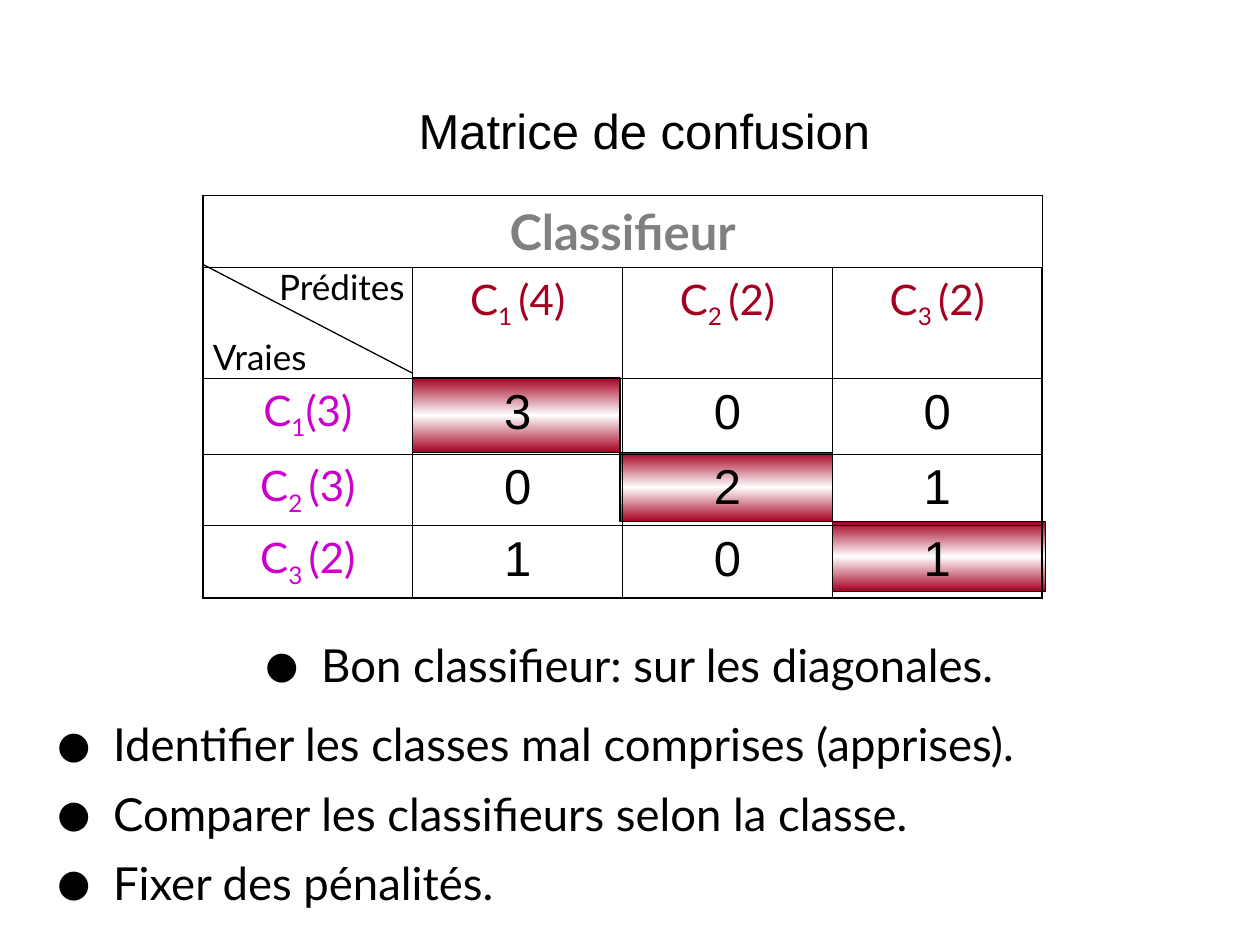
from copy import deepcopy

from lxml import etree
from pptx import Presentation
from pptx.dml.color import RGBColor
from pptx.enum.shapes import MSO_CONNECTOR, MSO_SHAPE
from pptx.enum.text import MSO_ANCHOR, MSO_AUTO_SIZE, PP_ALIGN
from pptx.oxml.ns import qn
from pptx.util import Cm, Pt

STRAIGHT = MSO_CONNECTOR.STRAIGHT
RECTANGLE = MSO_SHAPE.RECTANGLE
MIDDLE = MSO_ANCHOR.MIDDLE
NO_AUTOFIT = MSO_AUTO_SIZE.NONE
LEFT, CENTER = PP_ALIGN.LEFT, PP_ALIGN.CENTER

COLORS = {
    "text": "000000",
    "heading": "808080",
    "predicted": "A50021",
    "actual": "CC00CC",
    "highlight": "FFFFFF",
}
TITLE_FONT, BODY_FONT = "Arial", "Lato"
OUTER_BORDER, INNER_BORDER, LINE_WIDTH = 1.08, 0.45, 0.75
TITLE_ONLY_LAYOUT = 5

TABLE_LEFT, TABLE_TOP = 4.09, 3.94
COLUMN_WIDTH = 4.23
ROW_HEIGHTS = [1.45, 2.24, 1.52, 1.45, 1.45]
PREDICTED = [("C", "1 ", "(4)"), ("C", "2 ", "(2)"), ("C", "3 ", "(2)")]
ACTUAL = [("C", "1", "(3)"), ("C", "2 ", "(3)"), ("C", "3 ", "(2)")]
COUNTS = [[3, 0, 0], [0, 2, 1], [1, 0, 1]]
DIAGONAL_SIZES = [(4.19, 1.5), (4.29, 1.4), (4.29, 1.4)]
BULLETS = [
    (12.93, "Bon classifieur: sur les diagonales.", CENTER),
    (14.53, "Identifier les classes mal comprises (apprises).", LEFT),
    (15.93, "Comparer les classifieurs selon la classe.", LEFT),
    (17.32, "Fixer des pénalités.", LEFT),
]


def color(name):
    return RGBColor.from_string(COLORS[name])


class SlideBuilder:
    """Holds the slide and the style shared by its elements."""

    def __init__(self, slide):
        self.slide = slide

    def format_runs(self, paragraph, size, font=BODY_FONT, color_name="text", bold=False):
        for run in paragraph.runs:
            run.font.size = Pt(size)
            run.font.name = font
            run.font.bold = bold
            run.font.color.rgb = color(color_name)

    def title(self, text, left, top, width, height):
        shape = self.slide.shapes.title
        shape.left, shape.top = Cm(left), Cm(top)
        shape.width, shape.height = Cm(width), Cm(height)
        frame = shape.text_frame
        frame.text = text
        frame.auto_size = NO_AUTOFIT
        frame.vertical_anchor = MIDDLE
        paragraph = frame.paragraphs[0]
        paragraph.alignment = CENTER
        paragraph.line_spacing = 0.76
        self.format_runs(paragraph, 28, TITLE_FONT)

    def text(self, text, left, top, width, height, size, wrap=False):
        shape = self.slide.shapes.add_textbox(Cm(left), Cm(top), Cm(width), Cm(height))
        shape.text_frame.word_wrap = wrap
        shape.text_frame.text = text
        paragraph = shape.text_frame.paragraphs[0]
        self.format_runs(paragraph, size)
        return paragraph

    def bullet(self, text, top, alignment):
        paragraph = self.text(text, 0.89, top, 23.6, 1.19, 26, wrap=True)
        properties = paragraph._p.get_or_add_pPr()
        indent = Cm(1.14)
        properties.set("marL", str(indent))
        properties.set("indent", str(-indent))
        bullet_color = etree.SubElement(properties, qn("a:buClr"))
        etree.SubElement(bullet_color, qn("a:srgbClr"), val=COLORS["text"])
        etree.SubElement(properties, qn("a:buSzPct"), val="130000")
        etree.SubElement(properties, qn("a:buFont"), typeface=BODY_FONT)
        etree.SubElement(properties, qn("a:buChar"), char="●")
        paragraph.alignment = alignment
        paragraph.line_spacing = 0.8

    def gradient_box(self, left, top, width, height):
        shape = self.slide.shapes.add_shape(
            RECTANGLE, Cm(left), Cm(top), Cm(width), Cm(height))
        shape.shadow.inherit = False
        shape.line.color.rgb = color("text")
        shape.line.width = Pt(LINE_WIDTH)
        shape.fill.gradient()
        shape.fill.gradient_angle = 90
        first_stop = shape._element.spPr.find(".//" + qn("a:gs"))
        first_stop.addnext(deepcopy(first_stop))
        stops = zip(shape.fill.gradient_stops, (0, 0.5, 1),
                    ("predicted", "highlight", "predicted"))
        for stop, position, name in stops:
            stop.position = position
            stop.color.rgb = color(name)

    def line(self, start_x, start_y, end_x, end_y):
        connector = self.slide.shapes.add_connector(
            STRAIGHT, Cm(start_x), Cm(start_y), Cm(end_x), Cm(end_y))
        connector.line.color.rgb = color("text")
        connector.line.width = Pt(LINE_WIDTH)
        etree.SubElement(connector._element.spPr, qn("a:effectLst"))

    def table(self, left, top, column_widths, row_heights):
        rows, columns = len(row_heights), len(column_widths)
        table = self.slide.shapes.add_table(
            rows, columns, Cm(left), Cm(top),
            Cm(sum(column_widths)), Cm(sum(row_heights))).table
        table.first_row = table.horz_banding = False
        for column, width in zip(table.columns, column_widths):
            column.width = Cm(width)
        for row, height in zip(table.rows, row_heights):
            row.height = Cm(height)
        for r in range(rows):
            for c in range(columns):
                outer_sides = {"L": c == 0, "R": c == columns - 1,
                               "T": r == 0, "B": r == rows - 1}
                self.cell_borders(table.cell(r, c), outer_sides)
                table.cell(r, c).fill.background()
        return table

    def cell_borders(self, cell, outer_sides):
        properties = cell._tc.get_or_add_tcPr()
        for side, is_outer in outer_sides.items():
            width = Pt(OUTER_BORDER if is_outer else INNER_BORDER)
            border = etree.SubElement(properties, qn("a:ln" + side), w=str(width))
            fill = etree.SubElement(border, qn("a:solidFill"))
            etree.SubElement(fill, qn("a:srgbClr"), val=COLORS["text"])

    def cell_text(self, cell, text, size, **style):
        cell.text_frame.text = text
        paragraph = cell.text_frame.paragraphs[0]
        paragraph.alignment = CENTER
        self.format_runs(paragraph, size, **style)

    def class_label(self, cell, parts, color_name):
        """Write a class name with its index as a subscript."""
        paragraph = cell.text_frame.paragraphs[0]
        paragraph.alignment = CENTER
        for part in parts:
            paragraph.add_run().text = part
        self.format_runs(paragraph, 24, color_name=color_name)
        paragraph.runs[1].font._element.set("baseline", "-25000")


def main():
    presentation = Presentation()
    presentation.slide_width, presentation.slide_height = Cm(25.4), Cm(19.05)
    layout = presentation.slide_layouts[TITLE_ONLY_LAYOUT]
    builder = SlideBuilder(presentation.slides.add_slide(layout))
    builder.title("Matrice de confusion", 3.81, 0.94, 18.36, 3.61)

    box_left, box_top = 8.31, 7.62
    for width, height in DIAGONAL_SIZES:
        builder.gradient_box(box_left, box_top, width, height)
        box_left += width
        box_top += height

    matrix = builder.table(TABLE_LEFT, TABLE_TOP, [COLUMN_WIDTH] * 4, ROW_HEIGHTS)
    matrix.cell(0, 0).merge(matrix.cell(0, 3))
    builder.cell_text(matrix.cell(0, 0), "Classifieur", 28, color_name="heading", bold=True)
    for column, parts in enumerate(PREDICTED, start=1):
        builder.class_label(matrix.cell(1, column), parts, "predicted")
    for row, (parts, counts) in enumerate(zip(ACTUAL, COUNTS), start=2):
        builder.class_label(matrix.cell(row, 0), parts, "actual")
        for column, count in enumerate(counts, start=1):
            builder.cell_text(matrix.cell(row, column), str(count), 28, font=TITLE_FONT)

    builder.text("Prédites", 5.38, 5.23, 3.23, 1.12, 20)
    builder.text("Vraies", 4.04, 6.63, 2.54, 1.12, 20)
    for top, text, alignment in BULLETS:
        builder.bullet(text, top, alignment)
    builder.line(TABLE_LEFT, 5.33, 8.31, 7.52)

    presentation.save("out.pptx")


if __name__ == "__main__":
    main()
